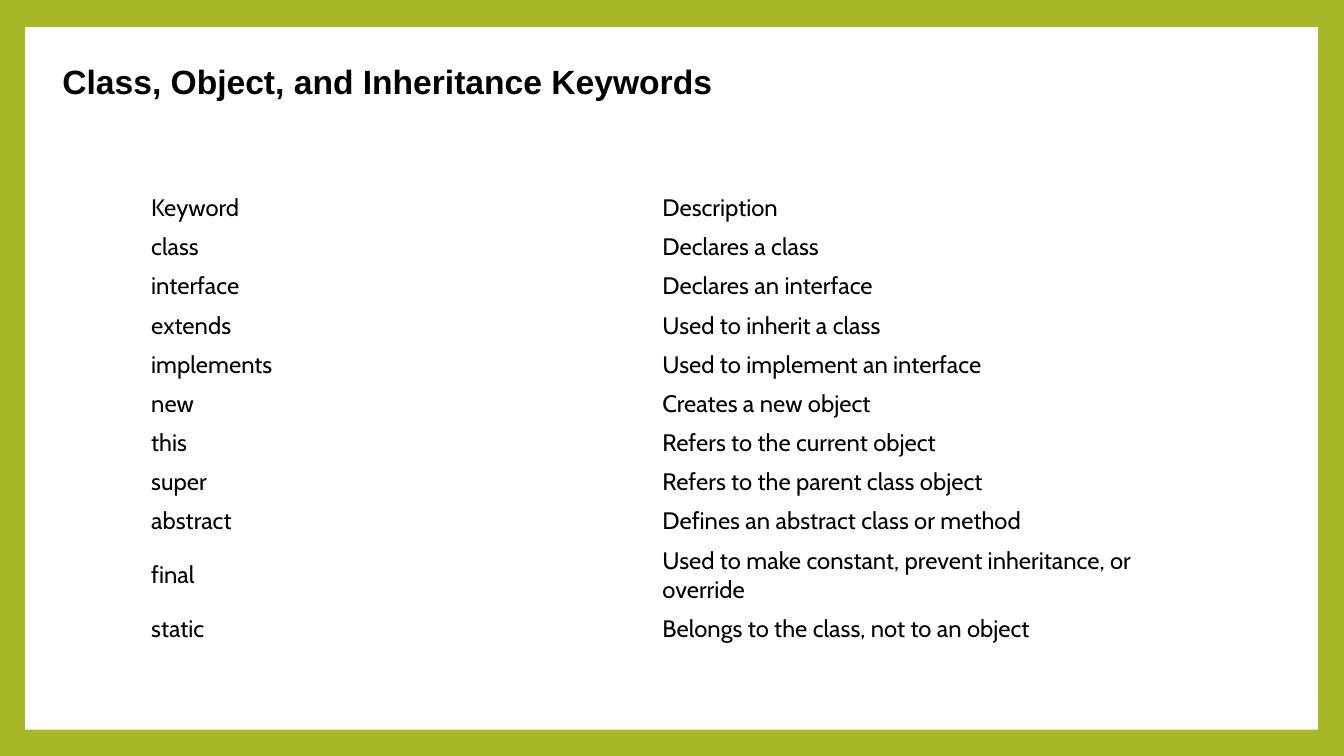
"""Build a slide with a framed table of class, object and inheritance keywords."""
from pptx import Presentation
from pptx import util as u
from pptx.dml import color
from pptx.enum import shapes, text

KEYWORDS = [
    ("Keyword", "Description"),
    ("class", "Declares a class"),
    ("interface", "Declares an interface"),
    ("extends", "Used to inherit a class"),
    ("implements", "Used to implement an interface"),
    ("new", "Creates a new object"),
    ("this", "Refers to the current object"),
    ("super", "Refers to the parent class object"),
    ("abstract", "Defines an abstract class or method"),
    ("final", "Used to make constant, prevent inheritance, or override"),
    ("static", "Belongs to the class, not to an object"),
]
TITLE_FORMAT = {"name": "Arial", "size": u.Pt(24), "bold": True}
CELL_FORMAT = {"name": "Cabin", "size": u.Pt(17), "bold": False}
CELL_LAYOUT = {
    "vertical_anchor": text.MSO_ANCHOR.MIDDLE,
    "margin_left": u.Inches(0.09),
    "margin_right": u.Inches(0.09),
    "margin_top": u.Inches(0.05),
    "margin_bottom": u.Inches(0.05),
}
ROW_HEIGHT, TALL_ROW_HEIGHT, COLUMN_WIDTH = 0.38, 0.66, 5.07


def paint(target, hex_color):
    """Give a fill one solid colour."""
    target.solid()
    target.fore_color.rgb = color.RGBColor.from_string(hex_color)


def write(para, words, font_format):
    """Add a formatted black span to a paragraph."""
    span = para.add_run()
    span.text = words
    for name, value in font_format.items():
        setattr(span.font, name, value)
    paint(span.font.fill, "000000")


deck = Presentation()
deck.slide_width, deck.slide_height = u.Inches(13.33), u.Inches(7.5)
page = deck.slides.add_slide(deck.slide_layouts[6])
paint(page.background.fill, "A6B727")

panel = page.shapes.add_shape(
    shapes.MSO_SHAPE.RECTANGLE,
    u.Inches(0.25), u.Inches(0.27), u.Inches(12.82), u.Inches(6.97))
panel.shadow.inherit = False
paint(panel.fill, "FFFFFF")
panel.line.fill.background()

table = page.shapes.add_table(
    len(KEYWORDS), 2, u.Inches(1.41), u.Inches(1.87),
    u.Inches(2 * COLUMN_WIDTH),
    u.Inches(ROW_HEIGHT * (len(KEYWORDS) - 1) + TALL_ROW_HEIGHT)).table
table.first_row = table.horz_banding = False
for column in table.columns:
    column.width = u.Inches(COLUMN_WIDTH)
for row, entry in zip(table.rows, KEYWORDS):
    row.height = u.Inches(TALL_ROW_HEIGHT if entry[0] == "final" else ROW_HEIGHT)
    for cell, words in zip(row.cells, entry):
        cell.fill.background()
        for name, value in CELL_LAYOUT.items():
            setattr(cell, name, value)
        write(cell.text_frame.paragraphs[0], words, CELL_FORMAT)

title_box = page.shapes.add_textbox(
    u.Inches(0.52), u.Inches(0.55), u.Inches(6.71), u.Inches(0.5))
title_layout = {
    "word_wrap": False,
    "auto_size": text.MSO_AUTO_SIZE.SHAPE_TO_FIT_TEXT,
    "vertical_anchor": text.MSO_ANCHOR.MIDDLE,
}
for name, value in title_layout.items():
    setattr(title_box.text_frame, name, value)
write(title_box.text_frame.paragraphs[0],
      "Class, Object, and Inheritance Keywords", TITLE_FORMAT)

deck.save("out.pptx")
